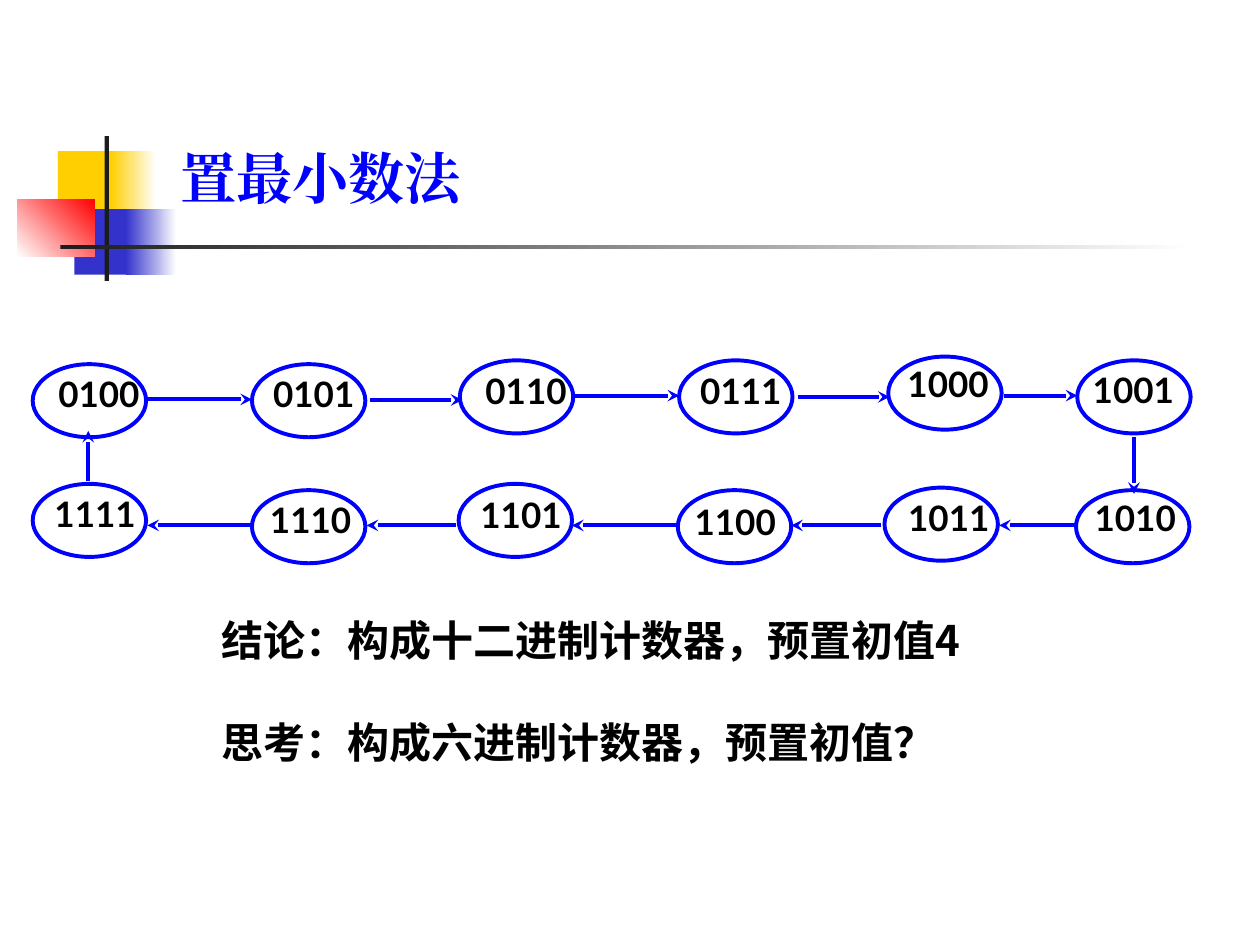
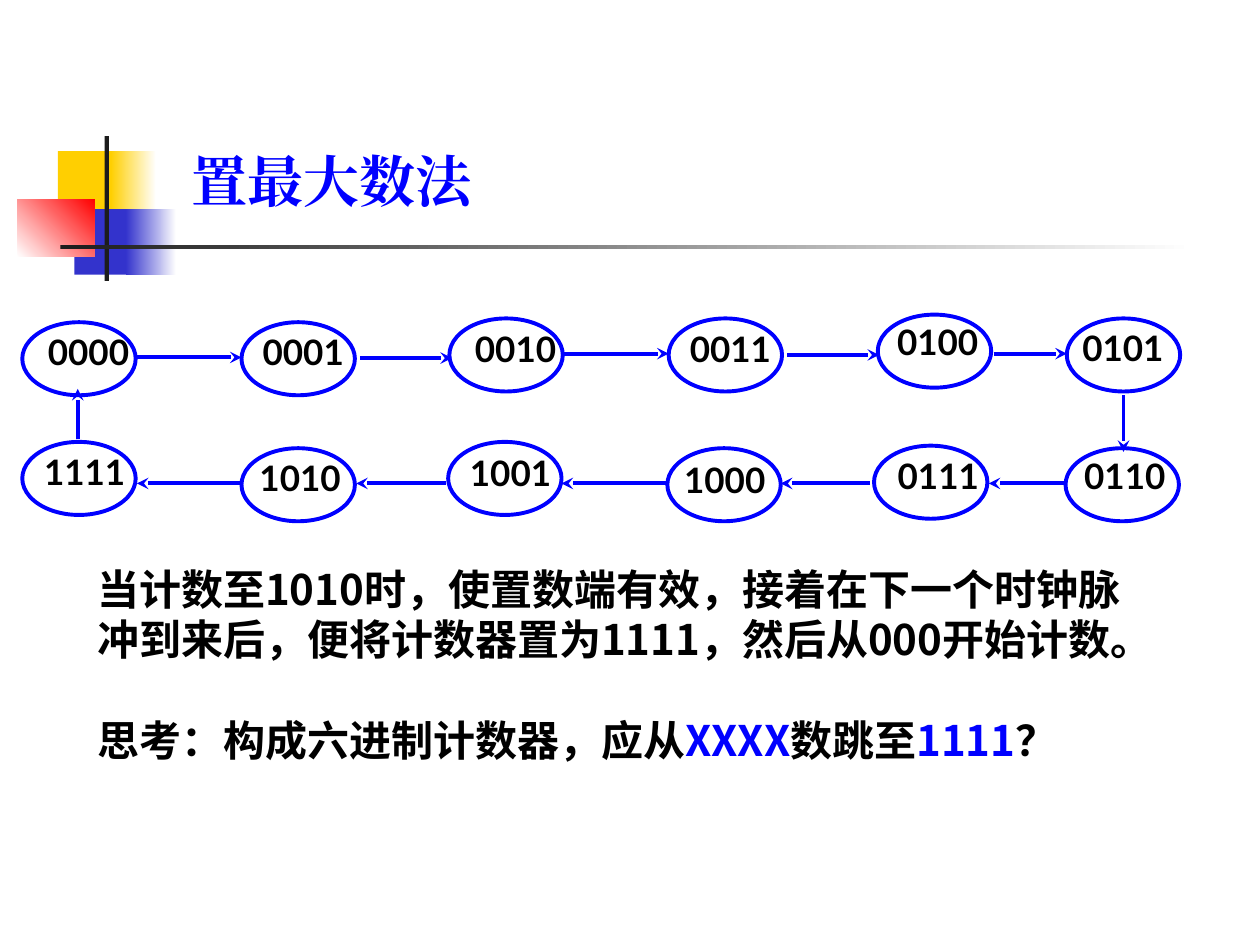
from lxml.etree import SubElement
from pptx import Presentation
from pptx.dml.color import RGBColor
from pptx.enum.shapes import MSO_CONNECTOR, MSO_SHAPE
from pptx.enum.text import MSO_ANCHOR, MSO_AUTO_SIZE, PP_ALIGN
from pptx.oxml.ns import qn
from pptx.util import Inches, Pt

COLUMNS, ROWS = 100, 75
BLUE, BLACK, WHITE = "0000FF", "000000", "FFFFFF"
GOLD, INDIGO, RED, CHARCOAL = "FFCF01", "3333CC", "FF0000", "1C1C1C"
TITLE_FONT, STATE_FONT, BODY_FONT = "Times New Roman", "Lato", "Noto Sans CJK SC"

# column, row, width, height, colours, gradient angle
ORNAMENT = [
    (4.6, 12, 4.8, 5.2, [GOLD], 0),
    (8.8, 12, 3.6, 5.2, [GOLD, WHITE], 0),
    (5.9, 16.6, 4.6, 5.2, [INDIGO], 0),
    (10, 16.6, 4, 5.2, [INDIGO, WHITE], 0),
    (1.4, 15.8, 6.1, 4.6, [WHITE, RED], 45),
    (8.3, 10.8, 0.35, 11.5, [CHARCOAL], 0),
    (4.8, 19.45, 90, 0.35, [CHARCOAL, WHITE], 0),
]
STATE_WIDTH, STATE_HEIGHT = 9, 5.8
STATE_PLACES = [
    (2.6, 28.9), (20, 28.9), (36.5, 28.6), (53.9, 28.6), (70.5, 28.3), (85.5, 28.6),
    (85.4, 38.9), (70.2, 38.7), (53.8, 38.9), (36.4, 38.4), (20, 38.9), (2.6, 38.4),
]
LABEL_SHIFTS = [
    (0.75, 0.2), (0.4, 0.2), (0.75, 0.2), (0.4, 0.2), (0.25, 0), (-0.05, 0.15),
    (0.2, 0), (0.6, 0.2), (0.05, 0.3), (0.45, 0.3), (0.15, 0.2), (0.45, 0.2),
]
LABEL_WIDTH = 10.2
UPPER_ARROWS = [(11.7, 20, 31.7), (29.4, 36.7, 31.75), (45.5, 53.9, 31.4),
                (63.3, 70.6, 31.5), (79.7, 85.5, 31.4)]
LOWER_ARROWS = [(85.4, 79.3), (69.9, 62.8), (53.8, 45.4), (36.2, 29.1), (20, 11.7)]
LOWER_ARROW_ROW = 41.7
TURNS = [(90, 34.7, 39.2), (7, 38.2, 34.2)]


def colour(value):
    return RGBColor.from_string(value)


class CounterDeck:
    def __init__(self):
        self.deck = Presentation()
        self.deck.slide_width, self.deck.slide_height = Inches(10), Inches(7.5)
        self.slide = None

    def x(self, columns):
        return round(self.deck.slide_width * columns / COLUMNS)

    def y(self, rows):
        return round(self.deck.slide_height * rows / ROWS)

    def place(self, shape, column, row, width, height):
        shape.left, shape.top = self.x(column), self.y(row)
        shape.width, shape.height = self.x(width), self.y(height)

    def style(self, paragraph, font_name, size, text_colour):
        font = paragraph.font
        font.name, font.size, font.bold = font_name, Pt(size), True
        font.color.rgb = colour(text_colour)
        defaults = paragraph._p.pPr.find(qn("a:defRPr"))
        SubElement(defaults, qn("a:ea"), typeface=font_name)

    def start(self, title, column, row):
        self.slide = self.deck.slides.add_slide(self.deck.slide_layouts[1])
        for band in ORNAMENT:
            self.band(*band)
        heading = self.slide.shapes.title
        self.place(heading, column, row, 80, 12.5)
        frame = heading.text_frame
        frame.text = title
        frame.auto_size = MSO_AUTO_SIZE.NONE
        frame.vertical_anchor = MSO_ANCHOR.BOTTOM
        frame.paragraphs[0].alignment = PP_ALIGN.LEFT
        self.style(frame.paragraphs[0], TITLE_FONT, 32, BLUE)

    def preset(self, kind, column, row, width, height):
        shape = self.slide.shapes.add_shape(
            kind, self.x(column), self.y(row), self.x(width), self.y(height))
        shape.shadow.inherit = False
        return shape

    def band(self, column, row, width, height, colours, angle):
        shape = self.preset(MSO_SHAPE.RECTANGLE, column, row, width, height)
        shape.line.fill.background()
        if len(colours) == 1:
            shape.fill.solid()
            shape.fill.fore_color.rgb = colour(colours[0])
            return
        shape.fill.gradient()
        shape.fill.gradient_angle = angle
        for stop, value in zip(shape.fill.gradient_stops, colours):
            stop.color.rgb = colour(value)

    def state(self, code, column, row, shift, drop):
        oval = self.preset(MSO_SHAPE.OVAL, column, row, STATE_WIDTH, STATE_HEIGHT)
        oval.fill.background()
        oval.line.color.rgb = colour(BLUE)
        oval.line.width = Pt(2.25)
        label_column = column + shift + (STATE_WIDTH - LABEL_WIDTH) / 2
        label = self.slide.shapes.add_textbox(
            self.x(label_column), self.y(row + drop), self.x(LABEL_WIDTH), self.y(STATE_HEIGHT))
        label.text_frame.word_wrap = True
        label.text_frame.text = code
        paragraph = label.text_frame.paragraphs[0]
        paragraph.alignment = PP_ALIGN.CENTER
        self.style(paragraph, STATE_FONT, 20, BLACK)

    def arrow(self, start_column, start_row, end_column, end_row):
        arrow = self.slide.shapes.add_connector(
            MSO_CONNECTOR.STRAIGHT, self.x(start_column), self.y(start_row),
            self.x(end_column), self.y(end_row))
        arrow.line.color.rgb = colour(BLUE)
        arrow.line.width = Pt(2.25)
        SubElement(arrow.line._get_or_add_ln(), qn("a:tailEnd"), type="stealth")
        SubElement(arrow._element.spPr, qn("a:effectLst"))

    def state_cycle(self, codes, right=0, down=0):
        for code, (column, row), shift in zip(codes, STATE_PLACES, LABEL_SHIFTS):
            self.state(code, column + right, row + down, *shift)
        arrows = [(start, row, end, row) for start, end, row in UPPER_ARROWS]
        arrows += [(start, LOWER_ARROW_ROW, end, LOWER_ARROW_ROW) for start, end in LOWER_ARROWS]
        arrows += [(column, start, column, end) for column, start, end in TURNS]
        for x1, y1, x2, y2 in arrows:
            self.arrow(x1 + right, y1 + down, x2 + right, y2 + down)

    def remarks(self, paragraphs, column, row, width, height):
        body = self.slide.placeholders[1]
        self.place(body, column, row, width, height)
        frame = body.text_frame
        frame.auto_size = MSO_AUTO_SIZE.NONE
        for index, pieces in enumerate(paragraphs):
            paragraph = frame.add_paragraph() if index else frame.paragraphs[0]
            properties = paragraph._p.get_or_add_pPr()
            properties.set("marL", "0")
            properties.set("indent", "0")
            SubElement(properties, qn("a:buNone"))
            paragraph.space_before = Pt(29 if index else 0)
            self.style(paragraph, BODY_FONT, 24, BLACK)
            for position, piece in enumerate(pieces):
                run = paragraph.add_run()
                run.text = piece
                if position % 2:
                    run.font.color.rgb = colour(BLUE)

    def save(self):
        self.deck.save("out.pptx")


def main():
    deck = CounterDeck()

    deck.start("置最小数法", 13.3, 4.7)
    deck.state_cycle([f"{value:04b}" for value in range(4, 16)])
    deck.remarks([
        ["结论：构成十二进制计数器，预置初值4"],
        ["思考：构成六进制计数器，预置初值？"],
    ], 16.6, 48.3, 70, 13)

    deck.start("置最大数法", 14.2, 5)
    deck.state_cycle([f"{value:04b}" for value in (*range(11), 15)], -0.83, -3.33)
    deck.remarks([
        ["当计数至1010时，使置数端有效，接着在下一个时钟脉冲到来后，"
         "便将计数器置为1111，然后从000开始计数。"],
        ["思考：构成六进制计数器，应从", "XXXX", "数跳至", "1111", "？"],
    ], 6.7, 44.2, 85, 21)

    deck.save()


if __name__ == "__main__":
    main()
